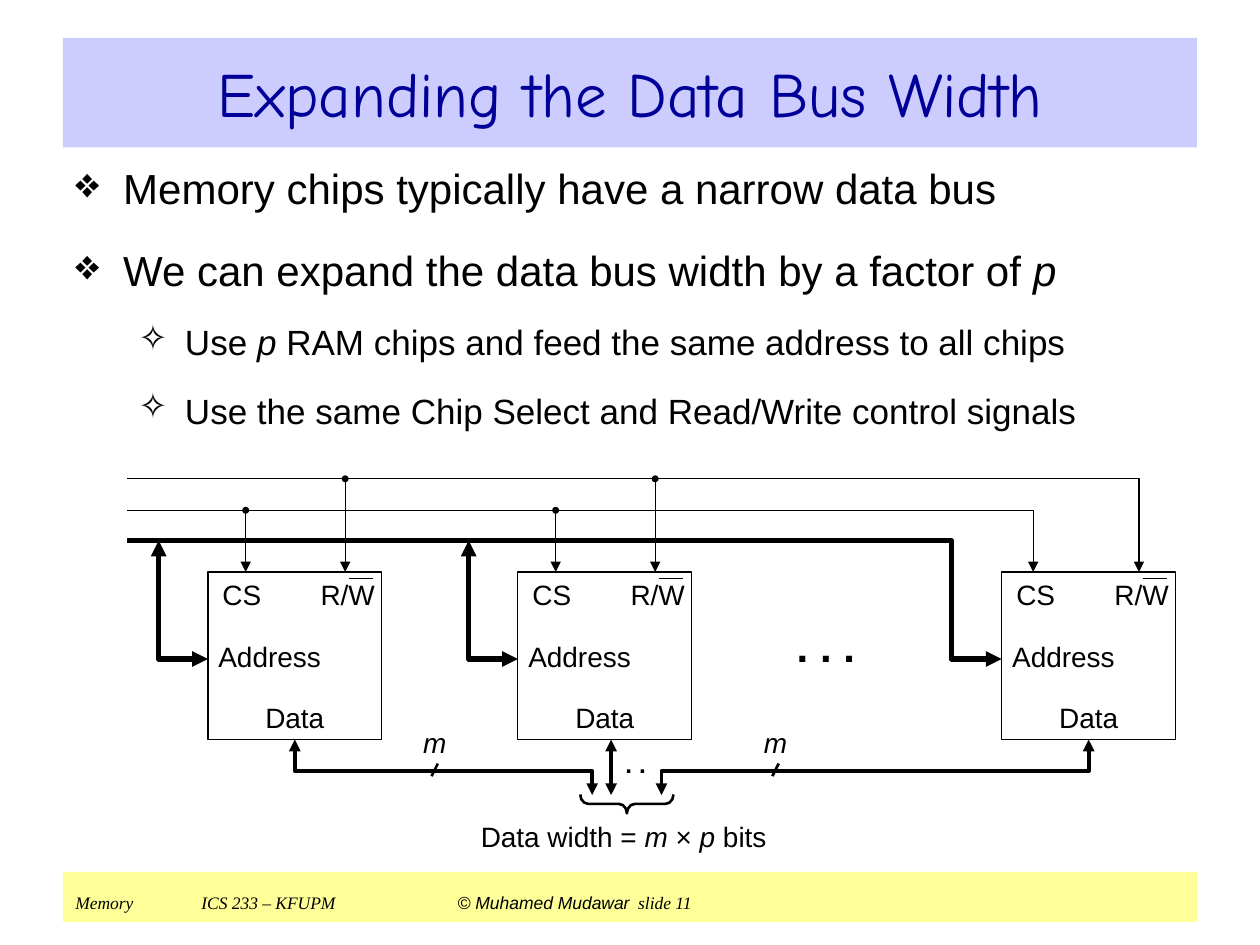
from lxml import etree
from pptx import Presentation
from pptx import util as u
from pptx.dml.color import RGBColor
from pptx.enum import shapes, text
from pptx.oxml.ns import qn

COLORS = {"ink": "000000", "paper": "FFFFFF", "title": "000099",
          "title band": "CCCCFF", "footer band": "FFFF99"}
COLUMNS, ROWS = 100, 75  # square cells, a tenth of an inch each
CENTER = text.PP_ALIGN.CENTER
MIDDLE = text.MSO_ANCHOR.MIDDLE


def rgb(name):
    return RGBColor.from_string(COLORS[name])


def write(frame, parts, size=16, font="Arial", color="ink", bold=False, align=None,
          before=0, bullet=None, indent=(0, 0), level=0, tabs=()):
    """Add a paragraph; parts are (text, overrides), or a string with *italic* words."""
    if isinstance(parts, str):
        parts = [(piece, {"italic": i % 2 == 1})
                 for i, piece in enumerate(parts.split("*")) if piece]
    first = frame.paragraphs[0]
    line = frame.add_paragraph() if first.runs else first
    line.level = level
    props = line._p.get_or_add_pPr()
    if bullet:
        props.set("marL", str(u.Inches(indent[0])))
        props.set("indent", str(u.Inches(indent[1])))
        tint = etree.SubElement(props, qn("a:buClr"))
        etree.SubElement(tint, qn("a:srgbClr"), val=COLORS[color])
        etree.SubElement(props, qn("a:buChar"), char=bullet)
    if tabs:
        stops = etree.SubElement(props, qn("a:tabLst"))
        for stop in tabs:
            etree.SubElement(stops, qn("a:tab"), pos=str(u.Inches(stop)), algn="l")
    line.alignment = align
    if before:
        line.space_before = u.Pt(before)
    for words, change in parts:
        style = {"size": size, "font": font, "italic": False, **change}
        run = line.add_run()
        run.text = words
        run.font.size = u.Pt(style["size"])
        run.font.name = style["font"]
        run.font.italic = style["italic"]
        run.font.bold = bold
        run.font.color.rgb = rgb(color)


class Board:
    def __init__(self, deck):
        self.slide = deck.slides.add_slide(deck.slide_layouts[6])
        self.column = deck.slide_width / COLUMNS
        self.row = deck.slide_height / ROWS

    def at(self, x, y):
        return round(x * self.column), round(y * self.row)

    def block(self, x, y, w, h, fill=None, line=None, kind="RECTANGLE"):
        shape = self.slide.shapes.add_shape(
            getattr(shapes.MSO_SHAPE, kind), *self.at(x, y), *self.at(w, h))
        shape.shadow.inherit = False
        if fill:
            shape.fill.solid()
            shape.fill.fore_color.rgb = rgb(fill)
        else:
            shape.fill.background()
        if line:
            self.stroke(shape, line)
        else:
            shape.line.fill.background()
        return shape

    def frame(self, x, y, w, h):
        frame = self.slide.shapes.add_textbox(*self.at(x, y), *self.at(w, h)).text_frame
        frame.word_wrap = True
        return frame

    def label(self, x, y, w, h, words, **style):
        frame = self.frame(x, y, w, h)
        frame.margin_left = frame.margin_right = frame.margin_top = frame.margin_bottom = 0
        frame.vertical_anchor = MIDDLE
        write(frame, words, align=CENTER, **style)

    def stroke(self, shape, width, head=None, tail=None):
        shape.line.color.rgb = rgb("ink")
        shape.line.width = u.Pt(width)
        for tag, end in (("a:headEnd", head), ("a:tailEnd", tail)):
            if end:
                size = "sm" if end == "oval" else "med"
                etree.SubElement(shape.line._ln, qn(tag), type=end, w=size, len=size)

    def straight(self, start, end, width, **ends):
        wire = self.slide.shapes.add_connector(
            shapes.MSO_CONNECTOR.STRAIGHT, *self.at(*start), *self.at(*end))
        self.stroke(wire, width, **ends)
        etree.SubElement(wire._element.spPr, qn("a:effectLst"))

    def bent(self, points, width, **ends):
        start, *rest = [self.at(*point) for point in points]
        path = self.slide.shapes.build_freeform(*start)
        path.add_line_segments(rest, close=False)
        wire = path.convert_to_shape()
        wire.shadow.inherit = False
        wire.fill.background()
        self.stroke(wire, width, **ends)


CHIPS = (16.5, 41.1, 79.5)
CHIP_W, CHIP_TOP, CHIP_H = 13.8, 45.4, 13.3
CHIP_BOTTOM = CHIP_TOP + CHIP_H
WRITE_BUS, SELECT_BUS, ADDRESS_BUS = 38, 40.5, 42.9
SELECT_PIN, WRITE_PIN, ADDRESS_PIN = 3, 10.9, 52.3
BUS_START, DATA_BUS, DATA_END = 10.1, 61.2, 63.1
BOTH = {"head": "triangle", "tail": "triangle"}


def draw_text(board):
    footer = board.block(5, 69.2, 90, 4, "footer band").text_frame
    footer.vertical_anchor = text.MSO_ANCHOR.TOP
    serif = {"size": 10, "font": "Times New Roman", "italic": True}
    write(footer, [("Memory\tICS 233 – KFUPM\t ", serif),
                   ("© Muhamed Mudawar", {"size": 10, "italic": True}),
                   (" ", {"size": 18}), ("slide 11", serif)],
          align=text.PP_ALIGN.LEFT, tabs=(1, 3))

    title = board.block(5, 3, 90, 8.7, "title band").text_frame
    title.vertical_anchor = MIDDLE
    write(title, "Expanding the Data Bus Width", size=36, font="Comic Neue",
          color="title", align=CENTER)

    body = board.frame(5, 12.4, 90, 24.6)
    main = {"size": 24, "bullet": "❖", "indent": (0.38, -0.38)}
    sub = {"size": 20, "bullet": "✧", "indent": (0.87, -0.37), "level": 1, "before": 15}
    write(body, "Memory chips typically have a narrow data bus", **main)
    write(body, "We can expand the data bus width by a factor of *p*", before=18, **main)
    write(body, "Use *p* RAM chips and feed the same address to all chips", **sub)
    write(body, "Use the same Chip Select and Read/Write control signals", **sub)


def draw_chip(board, left):
    board.block(left, CHIP_TOP, CHIP_W, CHIP_H, "paper", 0.75)
    for dx, y, width, words in ((0.5, 45.9, 4.4, "CS"), (8.9, 45.9, 4.4, "R/W"),
                                (0, 50.8, 9.8, "Address"), (2, 55.7, 9.8, "Data")):
        board.label(left + dx, y, width, 2.5, words)
    board.straight((left + 11.2, 45.9), (left + 13.1, 45.9), 0.75)


def draw_control_wires(board):
    *tapped, last = CHIPS
    board.bent([(BUS_START, ADDRESS_BUS), (last - 4, ADDRESS_BUS),
                (last - 4, ADDRESS_PIN), (last, ADDRESS_PIN)], 3, tail="triangle")
    for left in tapped:
        board.bent([(left, ADDRESS_PIN), (left - 3.9, ADDRESS_PIN),
                    (left - 3.9, ADDRESS_BUS)], 3, **BOTH)
    for bus, pin, last_pin in ((WRITE_BUS, WRITE_PIN, 10.9), (SELECT_BUS, SELECT_PIN, 2.5)):
        board.bent([(BUS_START, bus), (last + last_pin, bus),
                    (last + last_pin, CHIP_TOP)], 0.75, tail="triangle")
        for left in tapped:
            board.straight((left + pin, bus), (left + pin, CHIP_TOP), 0.75,
                           head="oval", tail="triangle")


def draw_data_wires(board):
    for left, end in ((CHIPS[0], 47), (CHIPS[2], 52.5)):
        pin = left + CHIP_W / 2
        board.bent([(pin, CHIP_BOTTOM), (pin, DATA_BUS), (end, DATA_BUS),
                    (end, DATA_END)], 2.25, **BOTH)
    board.straight((48.5, CHIP_BOTTOM), (48.5, DATA_END), 2.25, **BOTH)
    for slash in (34.5, 61.55):
        board.straight((slash + 0.25, 60.6), (slash - 0.25, 61.6), 1.5)
        board.label(slash - 1.7, 57.7, 3.4, 2.5, "*m*")
    brace = board.block(49, 60.1, 1.5, 7.4, line=1.5, kind="RIGHT_BRACE")
    brace.rotation = 90
    brace.adjustments[0] = 0.42
    board.label(58.9, 49.3, 13.3, 3.9, ". . .", size=24, bold=True)
    board.label(48, 59.1, 4.9, 3, ". .", size=14, bold=True)
    board.label(37.2, 65.1, 24.6, 2.5, "Data width = *m* × *p* bits")


def main():
    deck = Presentation()
    deck.slide_width, deck.slide_height = u.Inches(10), u.Inches(7.5)
    board = Board(deck)
    draw_text(board)
    for left in CHIPS:
        draw_chip(board, left)
    draw_control_wires(board)
    draw_data_wires(board)
    deck.save("out.pptx")


if __name__ == "__main__":
    main()
